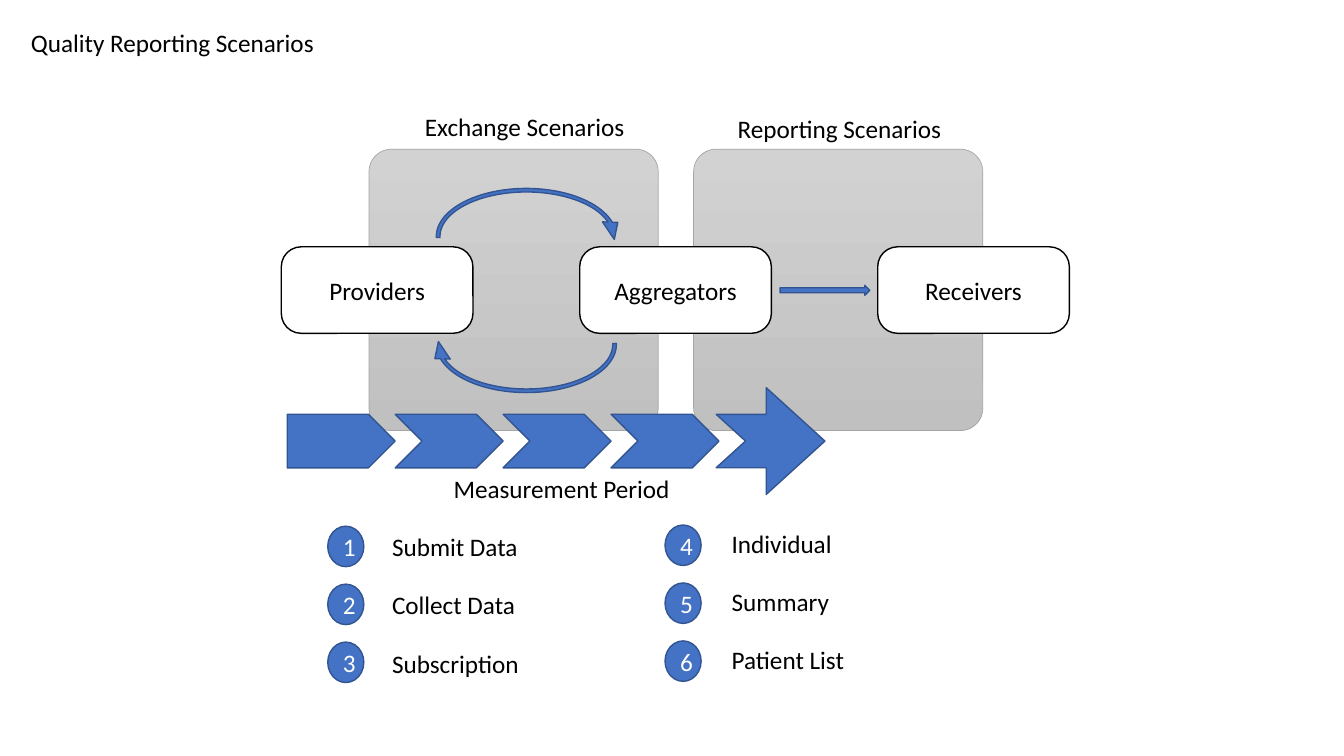
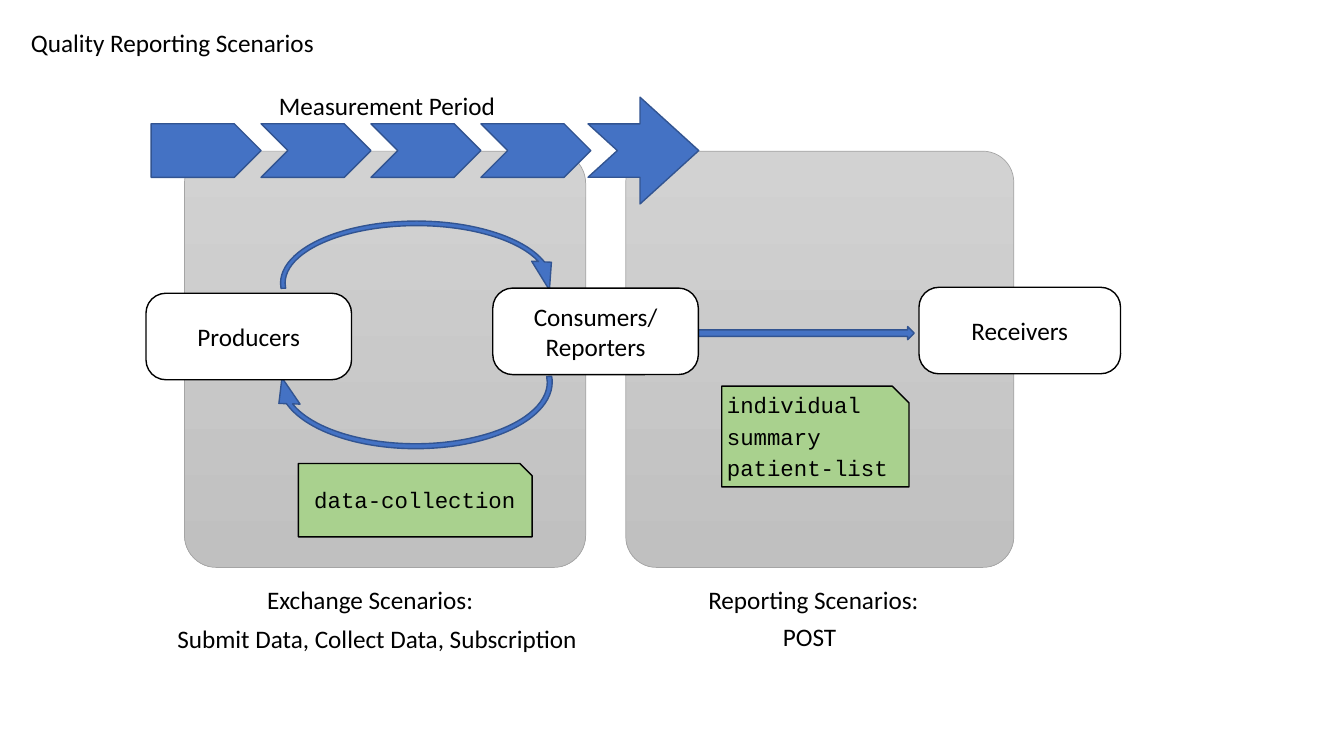
import dataclasses

import pptx
import pptx.dml.color
import pptx.enum.shapes
import pptx.enum.text
import pptx.util

Cm = pptx.util.Cm
Preset = pptx.enum.shapes.MSO_SHAPE
Align = pptx.enum.text.PP_ALIGN


@dataclasses.dataclass(frozen=True)
class Theme:
    accent: str = "4472C4"
    accent_line: str = "325491"
    panel_top: str = "D2D2D2"
    panel_bottom: str = "C0C0C0"
    panel_line: str = "A5A5A5"
    note: str = "A9D18E"
    black: str = "000000"
    white: str = "FFFFFF"
    body_font: str = "Calibri"
    body_size: int = 18
    code_font: str = "Courier New"
    code_size: int = 16
    line_width: float = 1
    panel_line_width: float = 0.5


theme = Theme()
color = pptx.dml.color.RGBColor.from_string


def add_text(shapes, box, lines, ink=theme.black, font=theme.body_font, size=theme.body_size):
    """Write lines into a shape, or into a new text box when box is a position."""
    is_label = isinstance(box, tuple)
    if is_label:
        box = shapes.add_textbox(*map(Cm, box))
    frame = box.text_frame
    frame.word_wrap = True
    frame.text = lines
    for paragraph in frame.paragraphs:
        paragraph.alignment = Align.LEFT if is_label else Align.CENTER
        paragraph.font.name = font
        paragraph.font.size = pptx.util.Pt(size)
        paragraph.font.color.rgb = color(ink)


def add_shape(shapes, preset, place, fill=theme.accent, line=theme.accent_line,
              width=theme.line_width, adjustments=()):
    shape = shapes.add_shape(preset, *map(Cm, place))
    shape.shadow.inherit = False
    shape.fill.solid()
    shape.fill.fore_color.rgb = color(fill)
    shape.line.color.rgb = color(line)
    shape.line.width = pptx.util.Pt(width)
    for index, value in enumerate(adjustments):
        shape.adjustments[index] = value
    return shape


LABEL_HEIGHT = 1.02
NODE_HEIGHT = 2.18

# Each arc holds its place, rotation, arrowhead spread and start angle;
# each period its left, top and step.
scenes = [
    {
        "panels": [(17.48, 3.76, 7.29, 7.09), (9.3, 3.76, 7.29, 7.09)],
        "arcs": [((10.85, 4.6, 4.83, 2.72), 0, 6.97, 107.6),
                 ((10.85, 7.32, 4.83, 2.72), 180, 6.97, 107.6)],
        "transfer": (19.66, 7.19, 2.26, 0.25),
        "period": (7.24, 10.44, 2.72),
        "nodes": [("Providers", 7.09, 6.22, 4.83),
                  ("Aggregators", 14.61, 6.22, 4.83),
                  ("Receivers", 22.12, 6.22, 4.83)],
        "labels": [("Exchange Scenarios", 10.46, 2.69, 5.7),
                   ("Reporting Scenarios", 18.34, 2.72, 5.8),
                   ("Measurement Period", 11.18, 11.81, 6.15)],
    },
    {
        "panels": [(15.77, 3.81, 9.78, 10.49), (4.65, 3.81, 10.11, 10.49)],
        "arcs": [((6.88, 5.38, 7.24, 3.51), 0, 7.62, 106.67),
                 ((6.83, 7.75, 7.29, 3.76), 180, 6.97, 106.51)],
        "transfer": (17.6, 8.23, 5.44, 0.33),
        "period": (3.81, 3.12, 2.77),
        "nodes": [("Receivers", 23.16, 7.24, 5.08),
                  ("Consumers/\nReporters", 12.42, 7.26, 5.18),
                  ("Producers", 3.68, 7.39, 5.18)],
        "labels": [("Exchange Scenarios:", 6.48, 14.61, 5.8),
                   ("Reporting Scenarios:", 17.6, 14.61, 5.92),
                   ("Measurement Period", 6.78, 2.16, 6.15),
                   ("Submit Data, Collect Data, Subscription", 4.22, 15.57, 10.75),
                   ("POST", 19.48, 15.54, 2)],
    },
]

presentation = pptx.Presentation()
presentation.slide_width = Cm(33.87)
presentation.slide_height = Cm(19.05)

# Scenario diagram shared by both slides
for scene in scenes:
    slide = presentation.slides.add_slide(presentation.slide_layouts[6])
    shapes = slide.shapes
    add_text(shapes, (0.53, 0.56, 7.8, LABEL_HEIGHT), "Quality Reporting Scenarios")

    # Background panels
    for place in scene["panels"]:
        panel = add_shape(shapes, Preset.ROUNDED_RECTANGLE, place, line=theme.panel_line,
                          width=theme.panel_line_width, adjustments=[0.08])
        panel.fill.gradient()
        panel.fill.gradient_angle = 270
        for stop, shade in zip(panel.fill.gradient_stops, (theme.panel_top, theme.panel_bottom)):
            stop.color.rgb = color(shade)

    # Exchange cycle and transfer arrow
    for place, rotation, spread, start in scene["arcs"]:
        arc = add_shape(shapes, Preset.CIRCULAR_ARROW, place,
                        adjustments=[0.033, spread, 210.18, start, 0.071])
        arc.rotation = rotation
    add_shape(shapes, Preset.RIGHT_ARROW, scene["transfer"])

    # Measurement period
    left, top, step = scene["period"]
    period = shapes.add_group_shape().shapes
    for index, preset in enumerate([Preset.PENTAGON] + [Preset.CHEVRON] * 3):
        add_shape(period, preset, (left + index * step, top, step, 1.35))
    add_shape(period, Preset.NOTCHED_RIGHT_ARROW,
              (left + 4 * step - 0.07, top - 0.67, step + 0.02, 2.69),
              adjustments=[0.5, 0.55])

    # Participants and captions
    for name, left, top, width in scene["nodes"]:
        node = add_shape(shapes, Preset.ROUNDED_RECTANGLE, (left, top, width, NODE_HEIGHT),
                         theme.white, theme.black, adjustments=[0.23])
        add_text(shapes, node, name)
    for caption, left, top, width in scene["labels"]:
        add_text(shapes, (left, top, width, LABEL_HEIGHT), caption)

overview, operations = presentation.slides

# Numbered scenario list
columns = [
    (8.26, 13.26, 9.63, 13.26, ["Submit Data", "Collect Data", "Subscription"]),
    (16.76, 13.23, 18.19, 13.18, ["Individual", "Summary", "Patient List"]),
]
number = 0
for badge_left, badge_top, label_left, label_top, scenarios in columns:
    for row, scenario in enumerate(scenarios):
        number += 1
        badge = add_shape(overview.shapes, Preset.OVAL,
                          (badge_left, badge_top + row * 1.46, 0.91, 1.02))
        add_text(overview.shapes, badge, str(number), theme.white)
        add_text(overview.shapes, (label_left, label_top + row * 1.47, 4, LABEL_HEIGHT), scenario)

# Operation notes
notes = [
    ((18.19, 9.73, 4.72, 2.54), (18.07, 9.73, 5.31), ["individual", "summary", "patient-list"]),
    ((7.52, 11.68, 5.89, 1.85), (7.67, 12.12, 5.7), ["data-collection"]),
]
for place, (left, top, width), names in notes:
    note = operations.shapes.add_group_shape().shapes
    add_shape(note, Preset.SNIP_1_RECTANGLE, place, theme.note, theme.black)
    for row, name in enumerate(names):
        add_text(note, (left, top + row * 0.8, width, 0.94), name,
                 font=theme.code_font, size=theme.code_size)

presentation.save("out.pptx")
